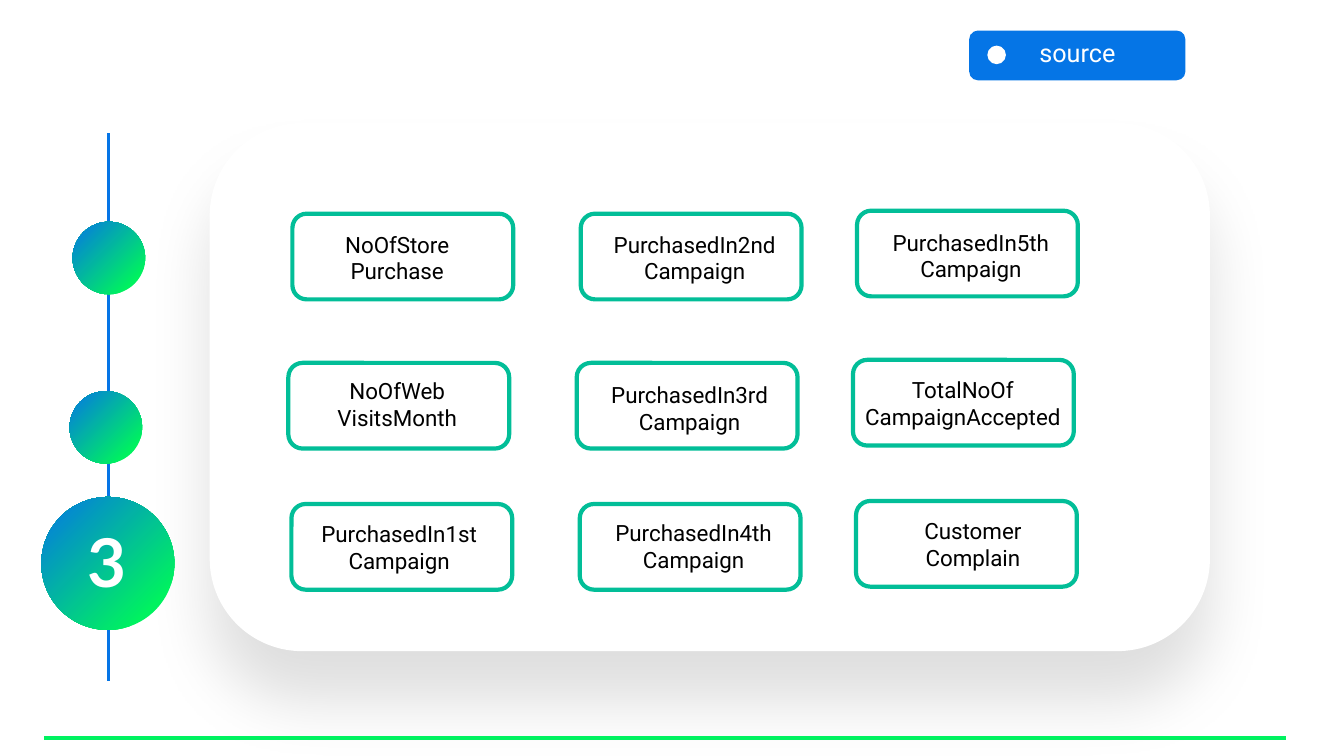
from lxml import etree
from pptx import Presentation
from pptx import util as u
from pptx.dml.color import RGBColor
from pptx.enum import shapes, text
from pptx.oxml import parse_xml
from pptx.oxml.ns import nsdecls, qn

BLUE = RGBColor(0x05, 0x75, 0xE6)
GREEN = RGBColor(0x00, 0xF2, 0x60)
TEAL = RGBColor(0x02, 0xBE, 0x98)
WHITE = RGBColor(0xFF, 0xFF, 0xFF)
BLACK = RGBColor(0x00, 0x00, 0x00)

ROUND = shapes.MSO_SHAPE.ROUNDED_RECTANGLE
DOT = shapes.MSO_SHAPE.FLOWCHART_CONNECTOR

COLUMNS = [(2.9, 0), (5.76, 0), (8.5, -0.03)]
ROWS = [(2.12, 0), (3.6, -0.04), (5, -0.01)]
FIELDS = [
    [("NoOfStore", "Purchase", 2.69, 2.24),
     ("PurchasedIn2nd", "Campaign", 5.64, 2.24),
     ("PurchasedIn5th", "Campaign", 8.38, 2.22)],
    [("NoOfWeb", "VisitsMonth", 2.69, 3.69),
     ("PurchasedIn3rd", "Campaign", 5.59, 3.73),
     ("TotalNoOf", "CampaignAccepted", 8.3, 3.68)],
    [("PurchasedIn1st", "Campaign", 2.71, 5.11),
     ("PurchasedIn4th", "Campaign", 5.63, 5.1),
     ("Customer", "Complain", 8.4, 5.08)],
]


def add_box(s, kind, x, y, w, h, fill=None, line=None, width=1):
    sp = s.shapes.add_shape(kind, u.Inches(x), u.Inches(y), u.Inches(w), u.Inches(h))
    sp.shadow.inherit = False
    if fill is None:
        sp.fill.background()
    else:
        sp.fill.solid()
        sp.fill.fore_color.rgb = fill
    if line is None:
        sp.line.fill.background()
    else:
        sp.line.color.rgb = line
        sp.line.width = u.Pt(width)
    return sp


def add_panel(s):
    sp = add_box(s, ROUND, 2.08, 1.22, 9.92, 5.24, WHITE)
    sp.adjustments[0] = 0.175
    effects = sp._element.spPr.find(qn("a:effectLst"))
    effects.append(parse_xml(
        f'<a:outerShdw {nsdecls("a")} blurRad="{u.Pt(46)}" dist="{u.Pt(36)}" '
        'dir="5400000" algn="t" rotWithShape="0">'
        '<a:srgbClr val="000000"><a:alpha val="12000"/></a:srgbClr></a:outerShdw>'))


def add_step(s, x, y, size):
    sp = add_box(s, DOT, x, y, size, size)
    sp.fill.gradient()
    sp.fill.gradient_angle = 135
    for stop, (position, color) in zip(sp.fill.gradient_stops, [(0.17, GREEN), (1, BLUE)]):
        stop.position = position
        stop.color.rgb = color


def add_line(s, x1, y1, x2, y2, color, width):
    ln = s.shapes.add_connector(shapes.MSO_CONNECTOR.STRAIGHT, u.Inches(x1), u.Inches(y1),
                                u.Inches(x2), u.Inches(y2))
    ln.line.color.rgb = color
    ln.line.width = u.Pt(width)
    etree.SubElement(ln._element.spPr, qn("a:effectLst"))


def add_text(s, x, y, h, lines, size, color=BLACK, font="Roboto", bold=False,
             align=text.PP_ALIGN.LEFT):
    tf = s.shapes.add_textbox(u.Inches(x), u.Inches(y), u.Inches(2.5), u.Inches(h)).text_frame
    tf.word_wrap = True
    tf.auto_size = text.MSO_AUTO_SIZE.SHAPE_TO_FIT_TEXT
    for i, line in enumerate(lines):
        p = tf.add_paragraph() if i else tf.paragraphs[0]
        p.alignment = align
        r = p.add_run()
        r.text = line
        r.font.name = font
        r.font.size = u.Pt(size)
        r.font.bold = bold
        r.font.color.rgb = color


def add_fields(s):
    for (y, dx), row in zip(ROWS, FIELDS):
        for (x, dy), (first, second, tx, ty) in zip(COLUMNS, row):
            add_box(s, ROUND, x + dx, y + dy, 2.19, 0.85, line=TEAL, width=3)
            add_text(s, tx, ty, 0.64, [first, second], 16, align=text.PP_ALIGN.CENTER)


def add_timeline(s):
    add_line(s, 1.08, 1.32, 1.08, 6.76, BLUE, 2.25)
    for x, y, size in [(0.41, 4.93, 1.32), (0.72, 2.2, 0.72), (0.69, 3.88, 0.72)]:
        add_step(s, x, y, size)
    add_text(s, 0.77, 5.11, 0.91, ["3"], 48, WHITE, "Lato", True)


def add_tag(s):
    add_box(s, ROUND, 9.62, 0.31, 2.13, 0.48, BLUE, BLUE)
    add_text(s, 10.21, 0.32, 0.4, ["source"], 18, WHITE)
    add_box(s, DOT, 9.8, 0.46, 0.17, 0.17, WHITE, WHITE)


def main():
    prs = Presentation()
    prs.slide_width = u.Inches(13.33)
    prs.slide_height = u.Inches(7.5)
    s = prs.slides.add_slide(prs.slide_layouts[6])
    add_panel(s)
    add_fields(s)
    add_timeline(s)
    add_tag(s)
    add_line(s, 0.44, 7.32, 12.75, 7.32, GREEN, 3)
    prs.save("out.pptx")


if __name__ == "__main__":
    main()
